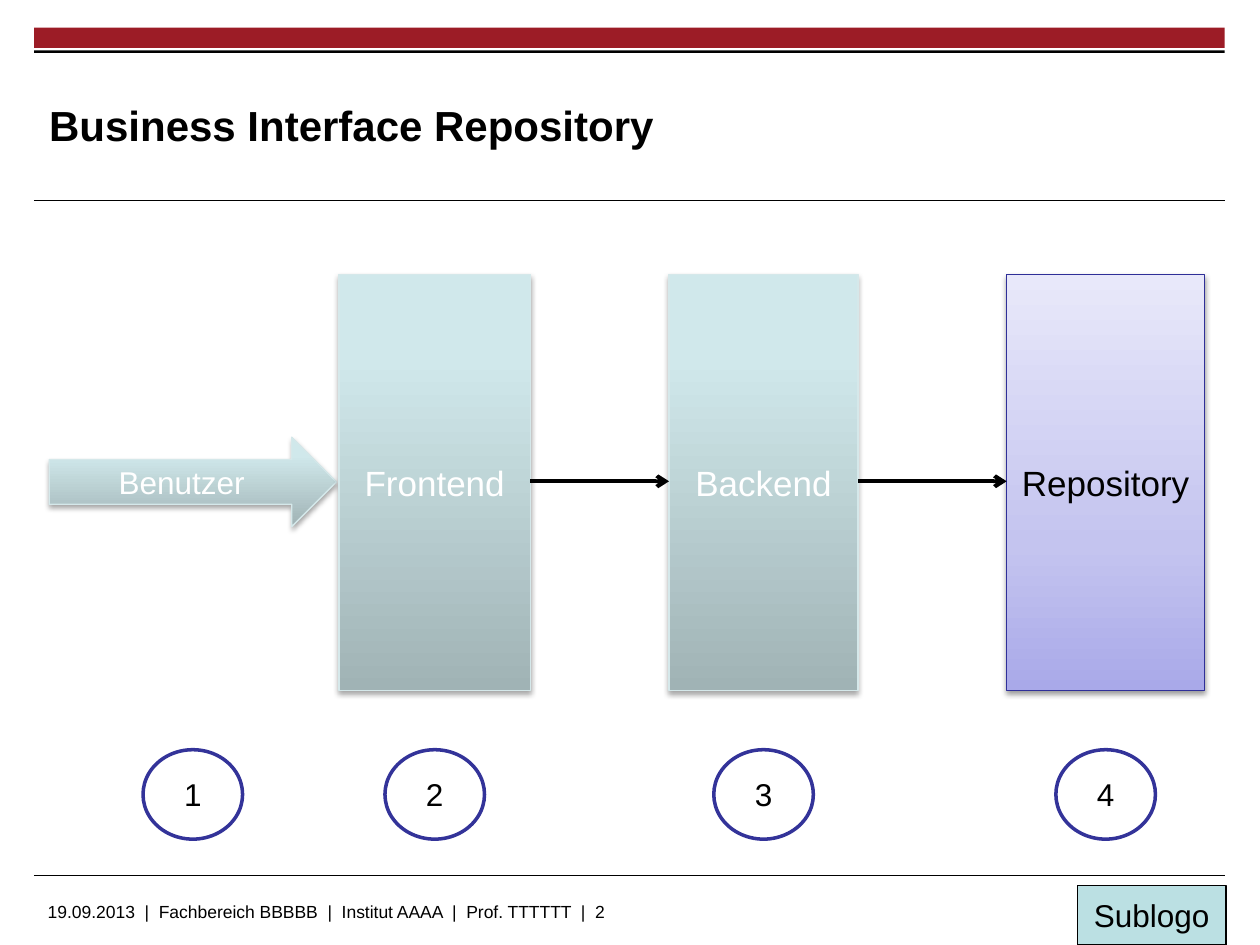
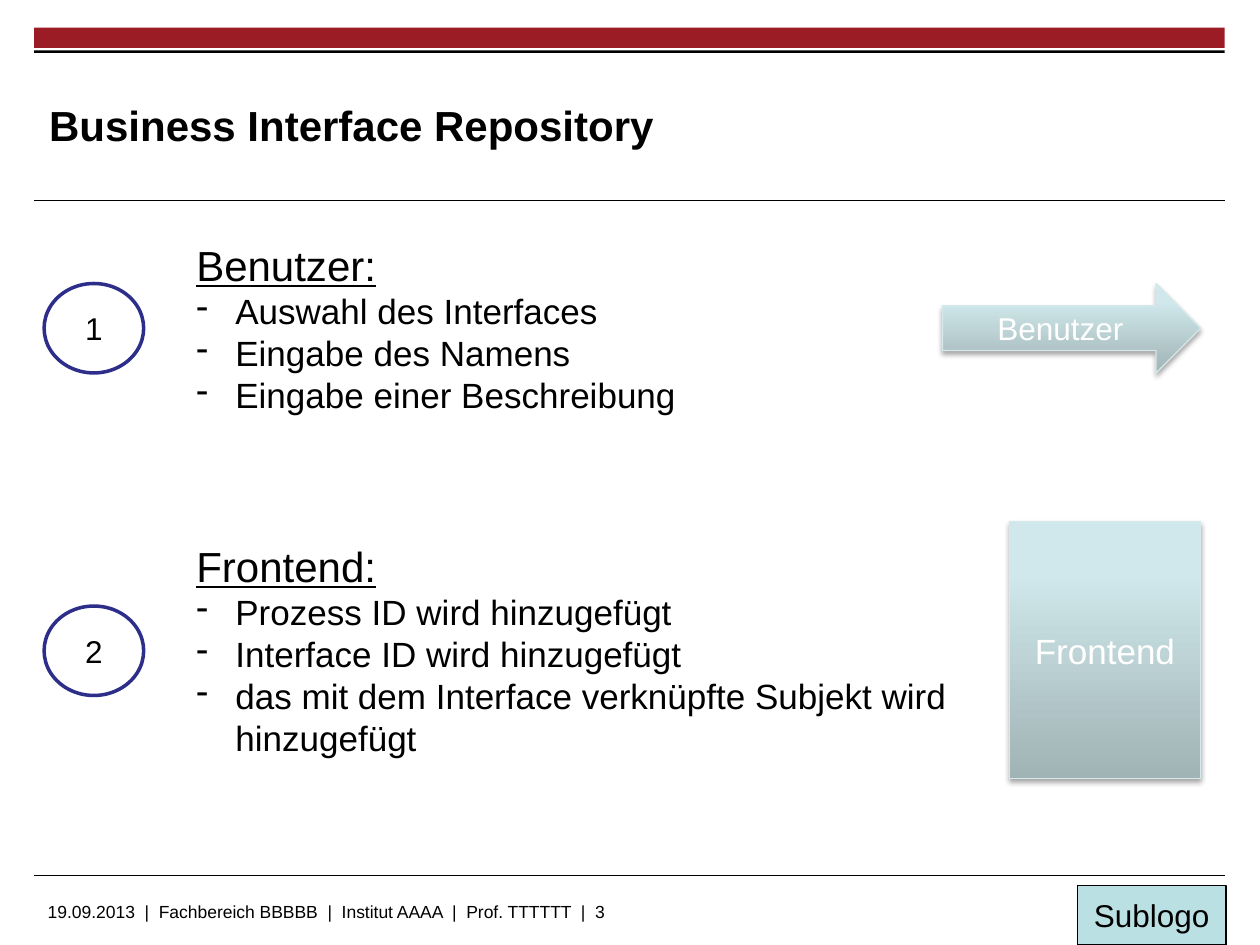
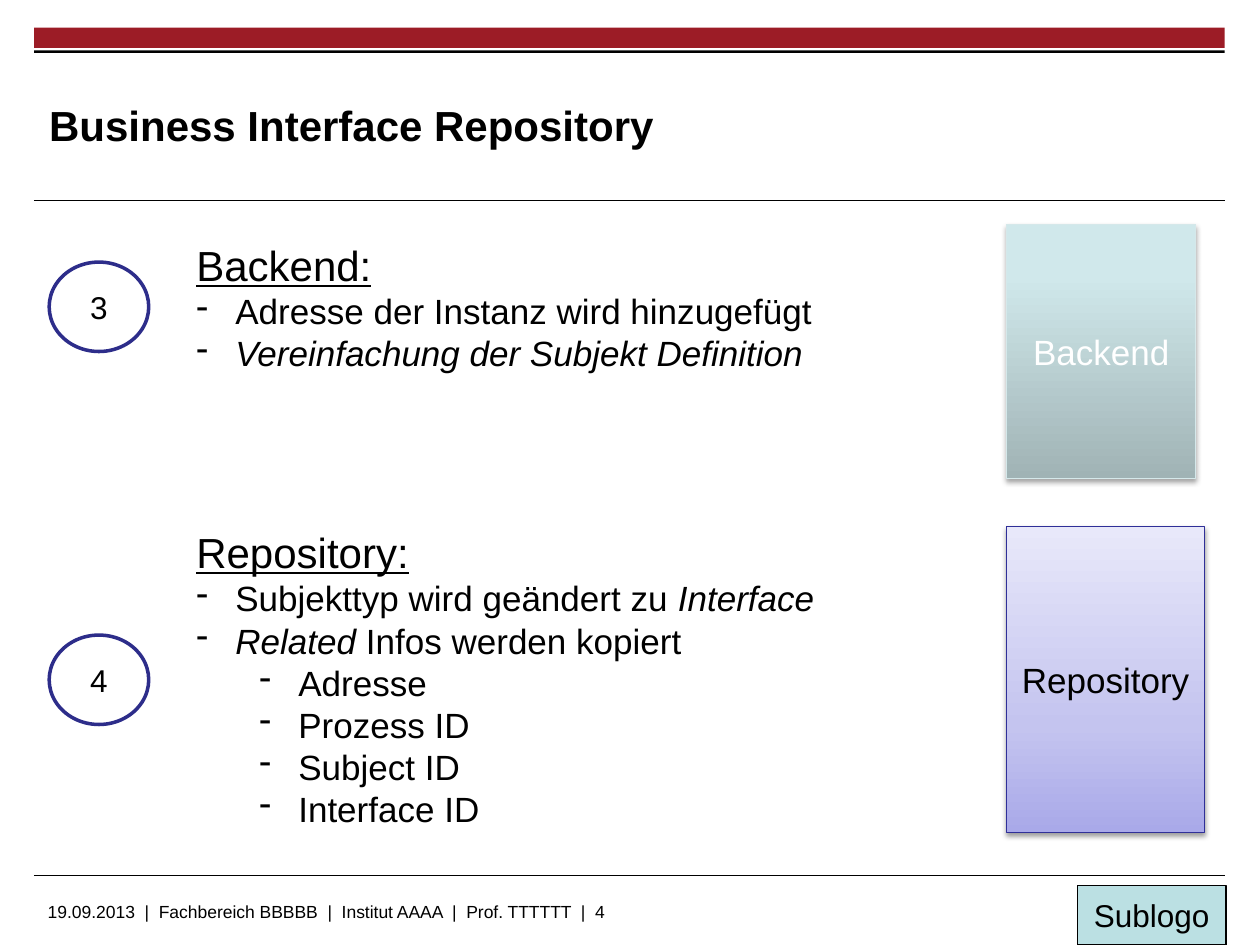
from dataclasses import dataclass
from itertools import pairwise

from lxml import etree
from pptx import Presentation
from pptx.dml.color import RGBColor
from pptx.enum.shapes import MSO_CONNECTOR, MSO_SHAPE
from pptx.enum.text import MSO_ANCHOR, MSO_AUTO_SIZE, PP_ALIGN
from pptx.oxml.ns import qn
from pptx.util import Inches, Pt

RECT = MSO_SHAPE.RECTANGLE
OVAL = MSO_SHAPE.OVAL
ARROW = MSO_SHAPE.RIGHT_ARROW
LINE = MSO_CONNECTOR.STRAIGHT
MIDDLE = MSO_ANCHOR.MIDDLE
LEFT = PP_ALIGN.LEFT
CENTER = PP_ALIGN.CENTER
GROW = MSO_AUTO_SIZE.SHAPE_TO_FIT_TEXT

FONT = "Arial"
COLORS = {
    "ink": "000000",
    "paper": "FFFFFF",
    "band": "9C1C26",
    "logo": "BBE0E3",
    "ring": "333399",
    "navy": "2D2D8A",
    "mint": "D5E8EA",
    "violet": "2F2F98",
}
TITLE = "Business Interface Repository"
FOOTER = "  |  ".join(
    ["19.09.2013", "Fachbereich BBBBB", "Institut AAAA", "Prof. TTTTTT"]
)
EDGE, SPAN = 0.27, 9.45
OVAL_W, OVAL_H = 0.79, 0.71
TEXT_X, STEP, HANG = 1.46, 0.5, 0.31


@dataclass(frozen=True)
class Style:
    stops: tuple[tuple[int, str], ...]
    line: str
    ink: str
    alpha: int
    drop: float


@dataclass(frozen=True)
class Node:
    name: str
    width: float
    style: Style
    shape: int = RECT
    size: int = 20


@dataclass(frozen=True)
class Item:
    text: str
    level: int = 0


@dataclass(frozen=True)
class Topic:
    number: int
    node: Node
    badge: tuple[float, float]
    box: tuple[float, float, float]
    text: tuple[float, float, float]
    items: tuple[Item, ...]
    wrap: bool = False


TEAL = Style(((0, "A0B3B5"), (80, "D0E8EB"), (100, "D1EAEC")), "mint", "paper", 35, 1.8)
LILAC = Style(((0, "A9A9E9"), (35, "C4C4EF"), (100, "E8E8FA")), "violet", "ink", 38, 1.6)

USER = Node("Benutzer", 2.28, TEAL, ARROW, 18)
FRONT = Node("Frontend", 1.52, TEAL)
BACK = Node("Backend", 1.5, TEAL)
STORE = Node("Repository", 1.57, LILAC)

FLOW = ((USER, 0.39), (FRONT, 2.69), (BACK, 5.31), (STORE, 7.99))

PAGES = (
    (
        Topic(1, USER, (0.35, 2.25), (7.48, 2.25, 0.71), (1.85, 4.04, 1.51), (
            Item("Auswahl des Interfaces"),
            Item("Eingabe des Namens"),
            Item("Eingabe einer Beschreibung"),
        )),
        Topic(2, FRONT, (0.35, 4.81), (8.01, 4.14, 2.04), (4.24, 6.18, 1.85), (
            Item("Prozess ID wird hinzugefügt"),
            Item("Interface ID wird hinzugefügt"),
            Item("das mit dem Interface verknüpfte Subjekt wird hinzugefügt"),
        ), True),
    ),
    (
        Topic(3, BACK, (0.39, 2.08), (7.99, 1.78, 2.02), (1.85, 5.13, 1.18), (
            Item("Adresse der Instanz wird hinzugefügt"),
            Item("*Vereinfachung der Subjekt Definition*"),
        )),
        Topic(4, STORE, (0.39, 5.04), (7.99, 4.18, 2.43), (4.13, 5.14, 2.52), (
            Item("Subjekttyp wird geändert zu *Interface*"),
            Item("*Related* Infos werden kopiert"),
            Item("Adresse", 1),
            Item("Prozess ID", 1),
            Item("Subject ID", 1),
            Item("Interface ID", 1),
        )),
    ),
)


def tint(name: str) -> RGBColor:
    return RGBColor.from_string(COLORS[name])


def place(x: float, y: float, w: float, h: float) -> tuple:
    return Inches(x), Inches(y), Inches(w), Inches(h)


def format_font(para, size: int, ink: str = "ink") -> None:
    font = para.font
    font.name, font.size = FONT, Pt(size)
    font.color.rgb = tint(ink)


def add_block(slide, kind, spot: tuple, fill: str, line: str = "", width: float = 0.75):
    shape = slide.shapes.add_shape(kind, *place(*spot))
    shape.shadow.inherit = False
    shape.fill.solid()
    shape.fill.fore_color.rgb = tint(fill)
    if line:
        shape.line.color.rgb = tint(line)
        shape.line.width = Pt(width)
    else:
        shape.line.fill.background()
    return shape


def add_label(shape, text: str, size: int, ink: str = "ink", wrap: bool = True) -> None:
    frame = shape.text_frame
    frame.word_wrap = wrap
    frame.vertical_anchor = MIDDLE
    para = frame.paragraphs[0]
    para.text, para.alignment = text, CENTER
    format_font(para, size, ink)


def add_line(slide, start: tuple, end: tuple, width: float, arrow: bool = False) -> None:
    line = slide.shapes.add_connector(LINE, *place(*start, *end))
    line.line.color.rgb = tint("ink")
    line.line.width = Pt(width)
    props = line._element.spPr
    if arrow:
        etree.SubElement(props.find(qn("a:ln")), qn("a:tailEnd"), type="arrow")
    etree.SubElement(props, qn("a:effectLst"))


def add_color(parent, code: str):
    return etree.SubElement(parent, qn("a:srgbClr"), val=code)


def add_node(slide, node: Node, x: float, y: float, w: float, h: float) -> None:
    style = node.style
    shape = add_block(slide, node.shape, (x, y, w, h), "paper", style.line)
    shape.fill.gradient()
    shape.fill.gradient_angle = 90
    props = shape._element.spPr
    stops = props.find(qn("a:gradFill")).find(qn("a:gsLst"))
    for stop in list(stops):
        stops.remove(stop)
    for pos, code in style.stops:
        add_color(etree.SubElement(stops, qn("a:gs"), pos=str(pos * 1000)), code)
    shade = etree.SubElement(
        props.find(qn("a:effectLst")), qn("a:outerShdw"),
        blurRad=str(Pt(3.1)), dist=str(Pt(style.drop)), dir="5400000", rotWithShape="0",
    )
    etree.SubElement(
        add_color(shade, COLORS["ink"]), qn("a:alpha"), val=str(style.alpha * 1000)
    )
    add_label(shape, node.name, node.size, style.ink)


def add_badge(slide, number: int, x: float, y: float, line: str) -> None:
    badge = add_block(slide, OVAL, (x, y, OVAL_W, OVAL_H), "paper", line, 2)
    add_label(badge, str(number), 18)


def add_item(frame, item: Item) -> None:
    para = frame.add_paragraph()
    para.level = item.level
    props = para._p.get_or_add_pPr()
    props.set("marL", str(Inches(HANG + STEP * item.level)))
    props.set("indent", str(-Inches(HANG)))
    etree.SubElement(props, qn("a:buChar"), char="-")
    format_font(para, 20)
    for index, text in enumerate(item.text.split("*")):
        if text:
            run = para.add_run()
            run.text = text
            if index % 2:
                run.font.italic = True


def add_topic(slide, topic: Topic) -> None:
    add_badge(slide, topic.number, *topic.badge, "navy")
    x, y, h = topic.box
    width = 2.05 if topic.node is USER else topic.node.width
    add_node(slide, topic.node, x, y, width, h)
    frame = slide.shapes.add_textbox(*place(TEXT_X, *topic.text)).text_frame
    frame.word_wrap, frame.auto_size = topic.wrap, GROW
    head = frame.paragraphs[0]
    head.text = topic.node.name + ":"
    format_font(head, 24)
    head.font.underline = True
    for item in topic.items:
        add_item(frame, item)


def add_page(deck, number: int):
    slide = deck.slides.add_slide(deck.slide_layouts[5])
    add_block(slide, RECT, (EDGE, 0.22, SPAN, 0.16), "band")
    add_block(slide, RECT, (EDGE, 0.4, SPAN, 0.02), "ink")
    for y in (1.59, 6.95):
        add_line(slide, (EDGE, y), (EDGE + SPAN, y), 0.6)
    note = slide.shapes.add_textbox(*place(0.28, 7.1, 7.88, 0.25)).text_frame
    note.word_wrap = True
    note.text = f"{FOOTER}  |  {number}"
    format_font(note.paragraphs[0], 10)
    logo = add_block(slide, RECT, (8.55, 7.03, 1.18, 0.47), "logo", "ink")
    add_label(logo, "Sublogo", 18, wrap=False)

    title = slide.shapes.title
    title.left, title.top, title.width, title.height = place(0.39, 0.53, 7.26, 0.92)
    frame = title.text_frame
    frame.margin_left = frame.margin_right = frame.margin_top = frame.margin_bottom = 0
    frame.vertical_anchor = MIDDLE
    para = frame.paragraphs[0]
    para.text, para.alignment = TITLE, LEFT
    format_font(para, 24)
    para.font.bold = True
    return slide


def draw_flow(slide) -> None:
    for number, (node, x) in enumerate(FLOW, 1):
        y, h = (3.47, 0.71) if node is USER else (2.18, 3.3)
        add_node(slide, node, x, y, node.width, h)
        add_badge(slide, number, x + (node.width - OVAL_W) / 2, 5.95, "ring")
    for (node, x), (_, end) in pairwise(FLOW[1:]):
        add_line(slide, (x + node.width, 3.82), (end, 3.82), 2.25, True)


def main() -> None:
    deck = Presentation()
    deck.slide_width, deck.slide_height = Inches(10), Inches(7.5)
    draw_flow(add_page(deck, 2))
    for number, topics in enumerate(PAGES, 3):
        slide = add_page(deck, number)
        for topic in topics:
            add_topic(slide, topic)
    deck.save("out.pptx")


main()
